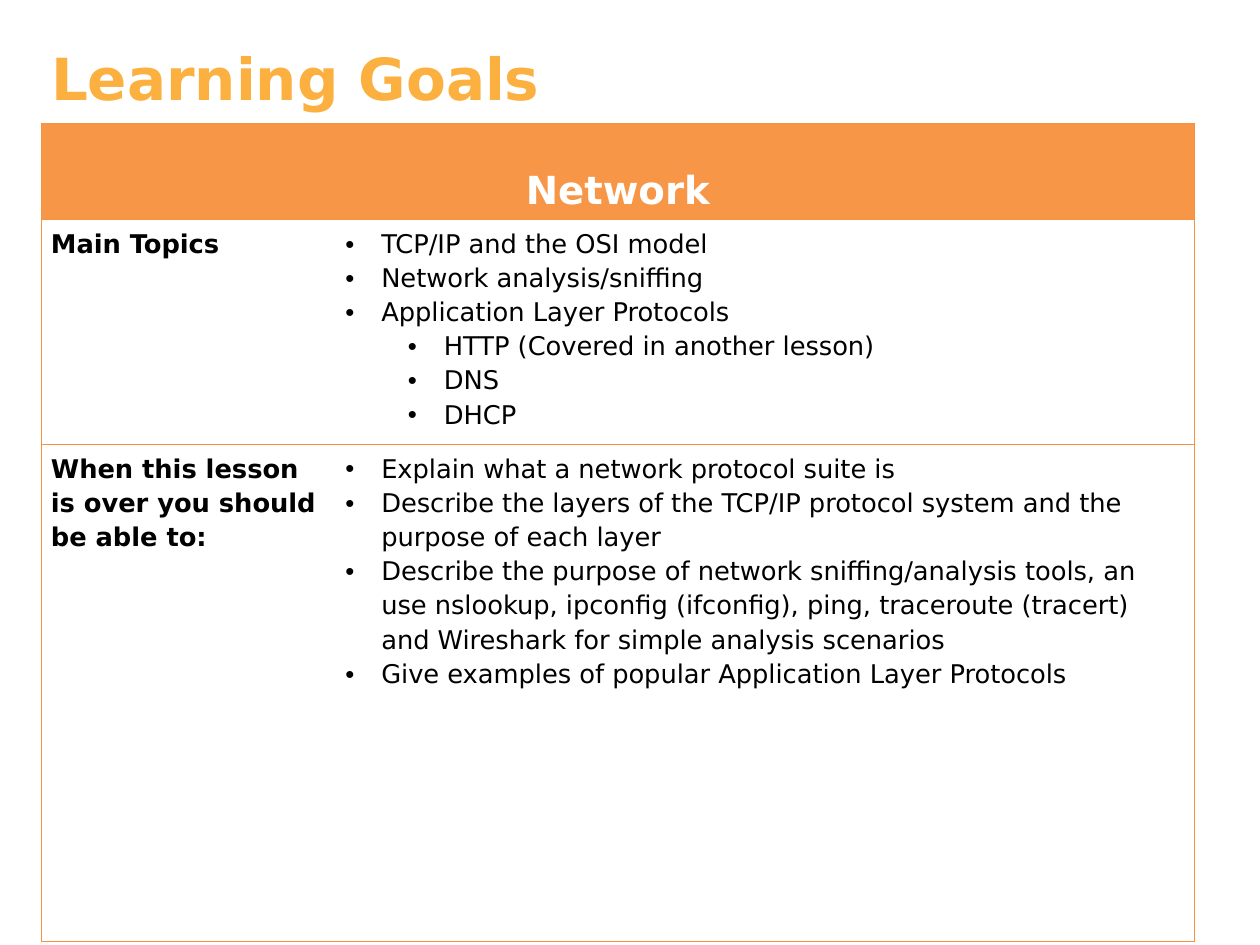
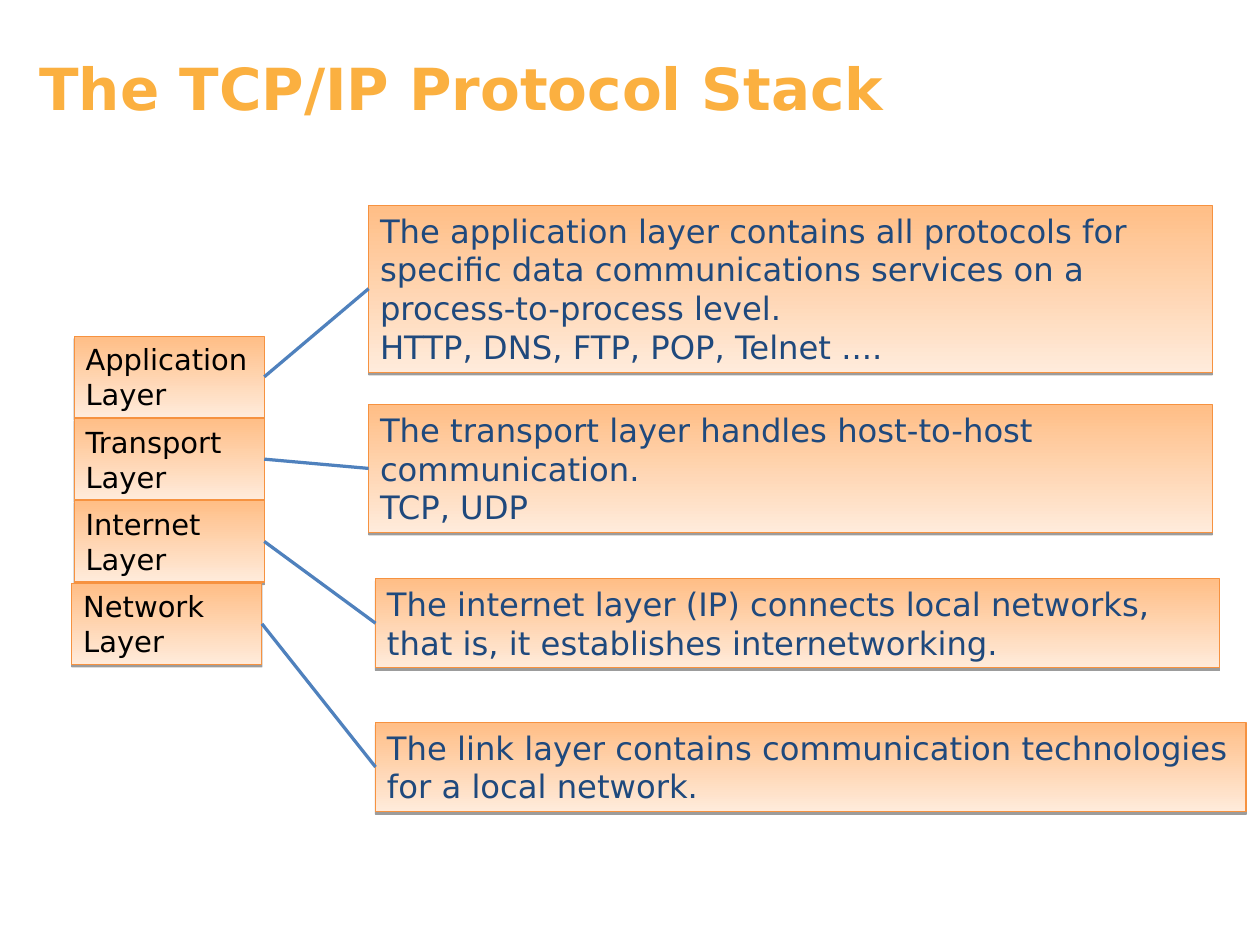
from dataclasses import dataclass

from lxml import etree
from pptx import Presentation
from pptx.dml.color import RGBColor
from pptx.enum.shapes import MSO_CONNECTOR, MSO_SHAPE
from pptx.enum.text import MSO_ANCHOR, MSO_AUTO_SIZE, PP_ALIGN
from pptx.oxml.ns import qn
from pptx.util import Inches, Pt

LEFT, CENTER = PP_ALIGN.LEFT, PP_ALIGN.CENTER
TOP, MIDDLE, BOTTOM = MSO_ANCHOR.TOP, MSO_ANCHOR.MIDDLE, MSO_ANCHOR.BOTTOM
NO_FIT, GROW = MSO_AUTO_SIZE.NONE, MSO_AUTO_SIZE.SHAPE_TO_FIT_TEXT
RECTANGLE, STRAIGHT = MSO_SHAPE.RECTANGLE, MSO_CONNECTOR.STRAIGHT
LEFT_SIDE, RIGHT_SIDE = 1, 3
TITLE_ONLY = 5


@dataclass(frozen=True)
class Theme:
    font: str = "DejaVu Sans"
    title: str = "FBB040"
    header: str = "F79646"
    border: str = "F69240"
    gradient: tuple = ("FFBE86", "FFEBDB")
    link: str = "4F81BD"
    description: str = "1F497D"
    black: str = "000000"
    white: str = "FFFFFF"
    title_size: int = 36
    header_size: int = 24
    table_size: int = 16
    layer_size: int = 18
    description_size: int = 20
    table_spacing: float = 1.15


THEME = Theme()

MAIN_TOPICS = [
    ("TCP/IP and the OSI model", 0),
    ("Network analysis/sniffing", 0),
    ("Application Layer Protocols", 0),
    ("HTTP (Covered in another lesson)", 1),
    ("DNS", 1),
    ("DHCP", 1),
]
ABILITIES = [
    ("Explain what a network protocol suite is", 0),
    ("Describe the layers of the TCP/IP protocol system and the purpose of "
     "each layer", 0),
    ("Describe the purpose of network sniffing/analysis tools, an use "
     "nslookup, ipconfig (ifconfig), ping, traceroute (tracert) and Wireshark "
     "for simple analysis scenarios", 0),
    ("Give examples of popular Application Layer Protocols", 0),
]
GOALS = [
    ("Main Topics", MAIN_TOPICS),
    ("When this lesson is over you should be able to:", ABILITIES),
]

# Layer left and lines, then description box and lines
STACK = [
    (0.64, ["Application Layer"], (3.18, 1.77, 7.28, 1.44),
     ["The application layer contains all protocols for specific data "
      "communications services on a process-to-process level.",
      "HTTP, DNS, FTP, POP, Telnet ...."]),
    (0.64, ["Transport", "Layer"], (3.18, 3.49, 7.28, 1.1),
     ["The transport layer handles host-to-host communication.", "TCP, UDP"]),
    (0.64, ["Internet", "Layer"], (3.24, 4.99, 7.28, 0.77),
     ["The internet layer (IP) connects local networks, that is, it "
      "establishes internetworking."]),
    (0.62, ["Network Layer"], (3.24, 6.23, 7.51, 0.77),
     ["The link layer contains communication technologies for a local "
      "network."]),
]


def rgb(color):
    return RGBColor.from_string(color)


def add_xml(parent, tag, **attributes):
    return etree.SubElement(parent, qn(tag), attributes)


def write_text(frame, lines, *, size, color=THEME.black, bold=False,
               align=LEFT, spacing=None):
    """Write one paragraph per line and return the paragraphs."""
    frame.word_wrap = True
    for index, line in enumerate(lines):
        paragraph = frame.add_paragraph() if index else frame.paragraphs[0]
        paragraph.alignment = align
        paragraph.line_spacing = spacing
        run = paragraph.add_run()
        run.text = line
        run.font.name = THEME.font
        run.font.size = Pt(size)
        run.font.bold = bold
        run.font.color.rgb = rgb(color)
    return frame.paragraphs


def write_bullets(frame, items):
    paragraphs = write_text(frame, [text for text, _ in items],
                            size=THEME.table_size,
                            spacing=THEME.table_spacing)
    for paragraph, (_, level) in zip(paragraphs, items):
        paragraph.level = level
        properties = paragraph._p.get_or_add_pPr()
        properties.set("marL", str(Inches(0.31 + 0.54 * level)))
        properties.set("indent", str(-Inches(0.31)))
        bullet_color = add_xml(properties, "a:buClr")
        add_xml(bullet_color, "a:srgbClr", val=THEME.black)
        add_xml(properties, "a:buFont", typeface="Arial")
        add_xml(properties, "a:buChar", char="•")


def add_titled_slide(deck, text, left, top):
    slide = deck.slides.add_slide(deck.slide_layouts[TITLE_ONLY])
    title = slide.shapes.title
    title.left, title.top = Inches(left), Inches(top)
    title.width, title.height = Inches(8.89), Inches(0.82)
    frame = title.text_frame
    frame.vertical_anchor = TOP
    frame.auto_size = NO_FIT
    write_text(frame, [text], size=THEME.title_size, color=THEME.title,
               bold=True)
    return slide


def format_cell(cell, sides, fill=None, anchor=TOP):
    """Draw borders on the given sides (of L, R, T, B) and set the fill."""
    cell.margin_left = cell.margin_right = Inches(0.08)
    cell.vertical_anchor = anchor
    properties = cell._tc.get_or_add_tcPr()
    for side in "LRTB":
        border = add_xml(properties, f"a:ln{side}", w=str(Pt(0.34)))
        if side in sides:
            paint = add_xml(border, "a:solidFill")
            add_xml(paint, "a:srgbClr", val=THEME.border)
        else:
            add_xml(border, "a:noFill")
    if fill:
        cell.fill.solid()
        cell.fill.fore_color.rgb = rgb(fill)
    else:
        cell.fill.background()


def add_goals_table(slide):
    widths, heights = (2.54, 7.4), (0.83, 1.94, 4.29)
    table = slide.shapes.add_table(
        len(heights), len(widths), Inches(0.36), Inches(1.06),
        Inches(sum(widths)), Inches(sum(heights))).table
    table.first_row = table.horz_banding = False
    for column, width in zip(table.columns, widths):
        column.width = Inches(width)
    for row, height in zip(table.rows, heights):
        row.height = Inches(height)

    header = table.cell(0, 0)
    header.merge(table.cell(0, 1))
    for cell in table.rows[0].cells:
        format_cell(cell, "LRTB", THEME.header, BOTTOM)
    write_text(header.text_frame, ["Network"], size=THEME.header_size,
               color=THEME.white, bold=True, align=CENTER,
               spacing=THEME.table_spacing)

    for row, (heading, items) in enumerate(GOALS, start=1):
        heading_cell, items_cell = table.cell(row, 0), table.cell(row, 1)
        format_cell(heading_cell, "LTB")
        format_cell(items_cell, "RTB")
        write_text(heading_cell.text_frame, [heading], bold=True,
                   size=THEME.table_size, spacing=THEME.table_spacing)
        write_bullets(items_cell.text_frame, items)


def add_box(slide, place, lines, *, size, color, anchor):
    """Add a gradient rectangle with a hard shadow below it."""
    box = slide.shapes.add_shape(RECTANGLE, *map(Inches, place))
    box.fill.gradient()
    box.fill.gradient_angle = 270
    for stop, shade in zip(box.fill.gradient_stops, THEME.gradient):
        stop.color.rgb = rgb(shade)
    box.line.color.rgb = rgb(THEME.border)
    box.line.width = Pt(0.75)
    box.shadow.inherit = False
    shadow = add_xml(box._element.spPr.find(qn("a:effectLst")),
                     "a:outerShdw", blurRad="0", dist=str(Pt(1.6)),
                     dir="5400000", rotWithShape="0")
    shadow_color = add_xml(shadow, "a:srgbClr", val=THEME.black)
    add_xml(shadow_color, "a:alpha", val="38000")
    frame = box.text_frame
    frame.vertical_anchor = anchor
    frame.auto_size = GROW
    write_text(frame, lines, size=size, color=color)
    return box


def add_link(slide, layer, description):
    link = slide.shapes.add_connector(STRAIGHT, 0, 0, 0, 0)
    link.begin_connect(layer, RIGHT_SIDE)
    link.end_connect(description, LEFT_SIDE)
    link.line.color.rgb = rgb(THEME.link)
    link.line.width = Pt(2)
    add_xml(link._element.spPr, "a:effectLst")


def add_protocol_stack(slide):
    layers = [
        add_box(slide, (left, 2.9 + 0.71 * index, 1.64, 0.7), name,
                size=THEME.layer_size, color=THEME.black, anchor=MIDDLE)
        for index, (left, name, _, _) in enumerate(STACK)
    ]
    for layer, (_, _, place, lines) in zip(layers, STACK):
        description = add_box(slide, place, lines, anchor=TOP,
                              size=THEME.description_size,
                              color=THEME.description)
        add_link(slide, layer, description)


def main():
    deck = Presentation()
    deck.slide_width, deck.slide_height = Inches(10.87), Inches(8.15)
    add_goals_table(add_titled_slide(deck, "Learning Goals", 0.34, 0.32))
    add_protocol_stack(
        add_titled_slide(deck, "The TCP/IP Protocol Stack", 0.24, 0.4))
    deck.save("out.pptx")


if __name__ == "__main__":
    main()
